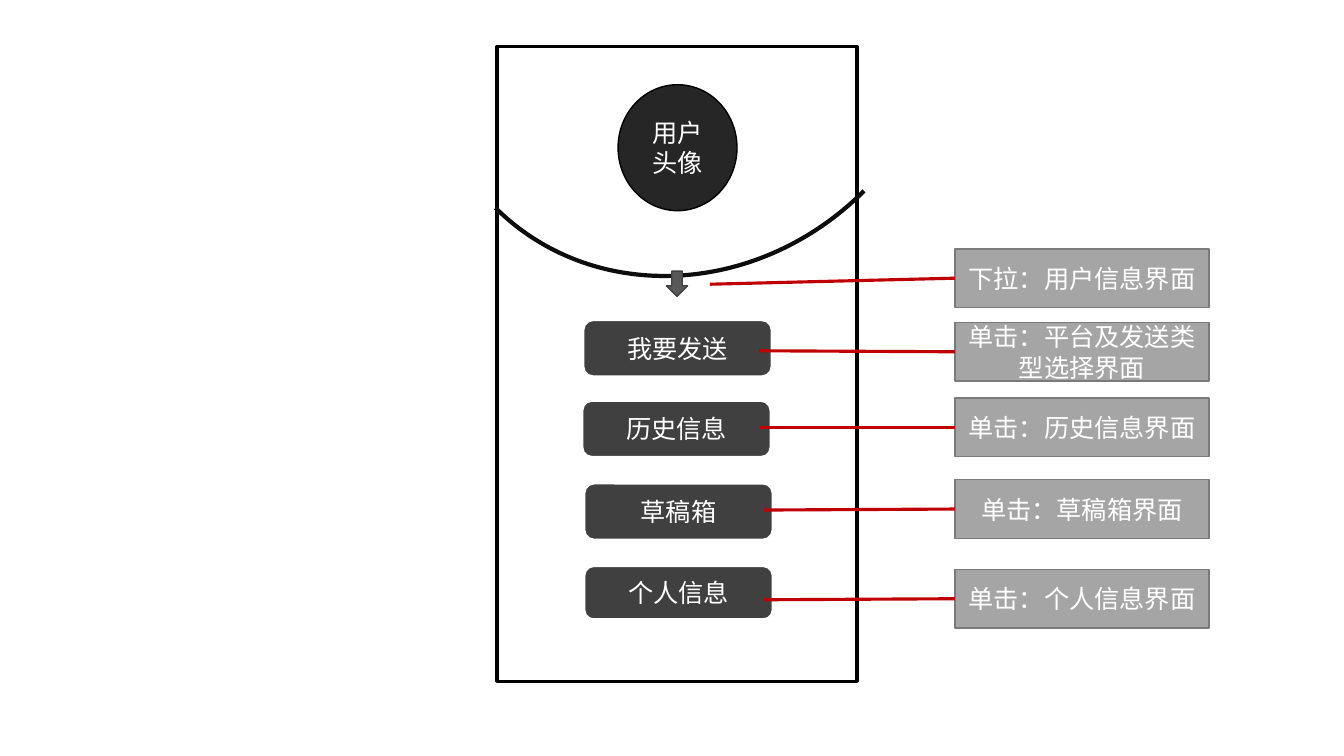
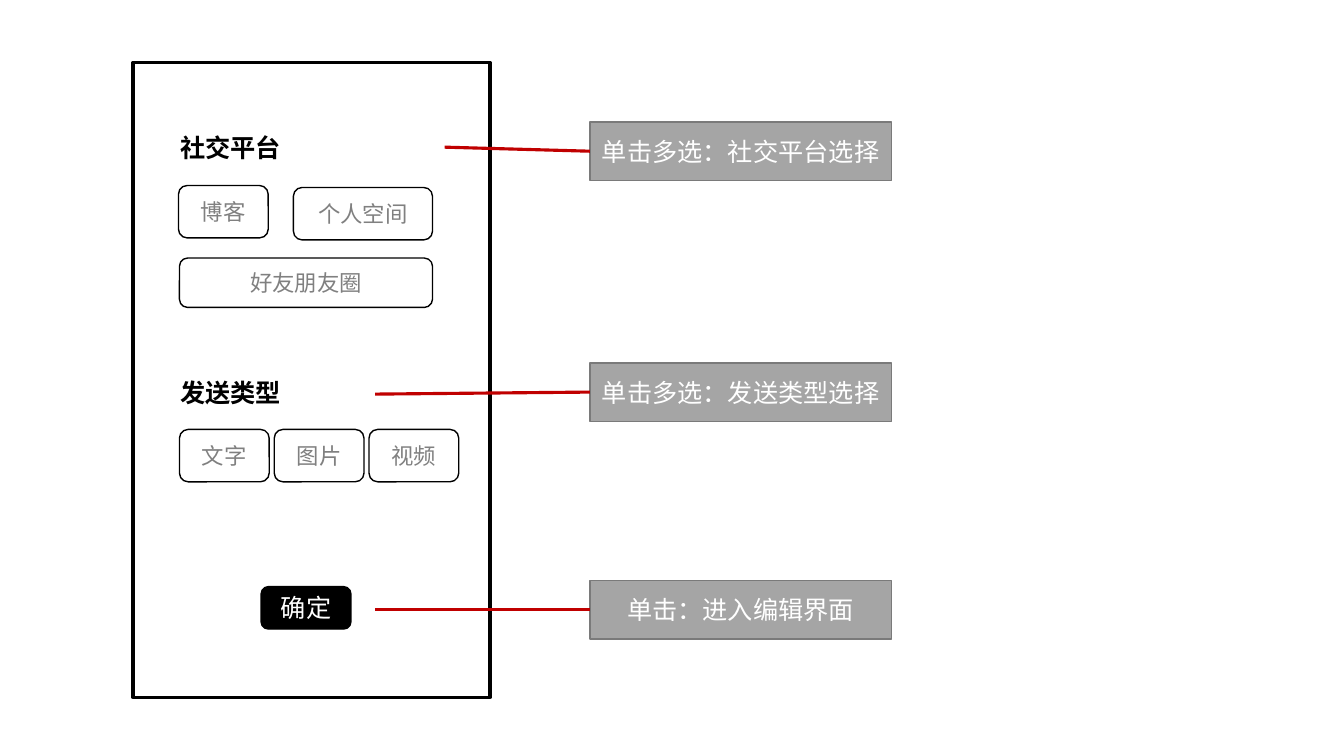
from lxml import etree
from pptx import Presentation
from pptx.dml.color import RGBColor
from pptx.enum.shapes import MSO_CONNECTOR, MSO_SHAPE
from pptx.enum.text import MSO_ANCHOR, MSO_AUTO_SIZE, PP_ALIGN
from pptx.oxml.ns import qn
from pptx.util import Inches, Pt

RECT = MSO_SHAPE.RECTANGLE
ROUND = MSO_SHAPE.ROUNDED_RECTANGLE
OVAL = MSO_SHAPE.OVAL
ARC = MSO_SHAPE.ARC
DOWN = MSO_SHAPE.DOWN_ARROW
LINE = MSO_CONNECTOR.STRAIGHT
MIDDLE = MSO_ANCHOR.MIDDLE
TOP = MSO_ANCHOR.TOP
CENTER = PP_ALIGN.CENTER
LEFT = PP_ALIGN.LEFT
GROW = MSO_AUTO_SIZE.SHAPE_TO_FIT_TEXT

FACE = "Noto Sans CJK SC"
COLORS = {
    "white": "FFFFFF",
    "black": "000000",
    "ink": "0D0D0D",
    "coal": "262626",
    "dark": "404040",
    "slate": "595959",
    "gray": "808080",
    "note": "A5A5A5",
    "edge": "7A7A7A",
    "red": "C00000",
}
STYLES = {
    "phone": {"fill": "white", "line": "black", "width": 2.25},
    "face": {"fill": "coal", "line": "black", "width": 1},
    "curve": {"fill": None, "line": "ink", "width": 3},
    "arrow": {"fill": "slate", "line": "dark", "width": 1},
    "menu": {"fill": "dark", "line": "white", "width": 1},
    "chip": {"fill": "white", "line": "black", "width": 1},
    "done": {"fill": "black", "line": "black", "width": 1},
    "note": {"fill": "note", "line": "edge", "width": 1},
}
FONTS = {
    "plain": {"size": Pt(18), "name": FACE, "bold": False},
    "small": {"size": Pt(16), "name": FACE, "bold": False},
    "head": {"size": Pt(18), "name": FACE, "bold": True},
}
FRAMES = {
    "label": {"word_wrap": True, "vertical_anchor": MIDDLE},
    "head": {"word_wrap": False, "vertical_anchor": TOP, "auto_size": GROW},
}


def tint(name):
    return RGBColor.from_string(COLORS[name])


def apply(item, values):
    for key, value in values.items():
        setattr(item, key, value)


def place(box, left, top, width, height):
    return [Inches(v) for v in (box[0] + left, box[1] + top, width, height)]


def write(shape, text, font="plain", color="white", frame="label", align=CENTER):
    body = shape.text_frame
    apply(body, FRAMES[frame])
    para = body.paragraphs[0]
    para.alignment = align
    run = para.add_run()
    run.text = text
    apply(run.font, FONTS[font])
    run.font.color.rgb = tint(color)
    asian = etree.SubElement(run._r.get_or_add_rPr(), qn("a:ea"))
    asian.set("typeface", FACE)


def draw(shapes, kind, area, style):
    shape = shapes.add_shape(kind, *area)
    shape.shadow.inherit = False
    look = STYLES[style]
    if look["fill"]:
        shape.fill.solid()
        shape.fill.fore_color.rgb = tint(look["fill"])
    else:
        shape.fill.background()
    shape.line.color.rgb = tint(look["line"])
    shape.line.width = Pt(look["width"])
    return shape


def phone(slide, box):
    shapes = slide.shapes.add_group_shape().shapes
    draw(shapes, RECT, place(box, 0, 0, box[2], box[3]), "phone")
    return shapes


def home(slide, box):
    shapes = phone(slide, box)
    face = draw(shapes, OVAL, place(box, 1.2, 0.38, 1.18, 1.25), "face")
    write(face, "用户头像")
    curve = draw(shapes, ARC, place(box, -0.81, -2.78, 5.4, 4.94), "curve")
    curve.rotation = 134.9
    draw(shapes, DOWN, place(box, 1.68, 2.23, 0.21, 0.25), "arrow")
    items = [
        ("我要发送", 0.86, 2.72, 0.55),
        ("历史信息", 0.85, 3.52, 0.55),
        ("草稿箱", 0.87, 4.34, 0.55),
        ("个人信息", 0.87, 5.16, 0.52),
    ]
    for text, left, top, height in items:
        area = place(box, left, top, 1.86, height)
        write(draw(shapes, ROUND, area, "menu"), text)


def picker(slide, box):
    shapes = phone(slide, box)
    for text, top in [("社交平台", 0.64), ("发送类型", 3.07)]:
        title = shapes.add_textbox(*place(box, 0.37, top, 1.22, 0.4))
        write(title, text, "head", "black", "head", LEFT)
    chips = [
        ("博客", 0.45, 1.22, 0.89, 0.52),
        ("个人空间", 1.59, 1.24, 1.38, 0.52),
        ("好友朋友圈", 0.46, 1.94, 2.51, 0.49),
    ]
    for col, text in enumerate(["文字", "图片", "视频"]):
        chips.append((text, 0.46 + col * 0.94, 3.64, 0.89, 0.52))
    for text, *spot in chips:
        chip = draw(shapes, ROUND, place(box, *spot), "chip")
        write(chip, text, "small", "gray")
    done = draw(shapes, ROUND, place(box, 1.27, 5.2, 0.89, 0.42), "done")
    write(done, "确定")


def notes(slide, box, rows):
    for text, top, left, start in rows:
        area = place(box, 0, top, box[2], box[3])
        note = draw(slide.shapes, RECT, area, "note")
        write(note, text)
        x, y = place(box, left, start, 0, 0)[:2]
        line = slide.shapes.add_connector(LINE, x, y, x, y)
        line.end_connect(note, 1)
        line.line.color.rgb = tint("red")
        line.line.width = Pt(2.25)
        etree.SubElement(line._element.spPr, qn("a:effectLst"))


def main():
    deck = Presentation()
    deck.slide_width = Inches(13.33)
    deck.slide_height = Inches(7.5)
    blank = deck.slide_layouts[6]

    slide = deck.slides.add_slide(blank)
    home(slide, (4.93, 0.46, 3.57, 6.3))
    notes(slide, (9.47, 2.47, 2.52, 0.58), [
        ("下拉：用户信息界面", 0, -2.43, 0.35),
        ("单击：平台及发送类型选择界面", 0.73, -1.94, 1.01),
        ("单击：历史信息界面", 1.48, -1.93, 1.77),
        ("单击：草稿箱界面", 2.29, -1.89, 2.59),
        ("单击：个人信息界面", 3.18, -1.89, 3.48),
    ])

    slide = deck.slides.add_slide(blank)
    picker(slide, (1.32, 0.62, 3.54, 6.3))
    notes(slide, (5.85, 1.21, 2.99, 0.58), [
        ("单击多选：社交平台选择", 0, -1.44, 0.25),
        ("单击多选：发送类型选择", 2.39, -2.13, 2.7),
        ("单击：进入编辑界面", 4.55, -2.13, 4.84),
    ])
    deck.save("out.pptx")


if __name__ == "__main__":
    main()
